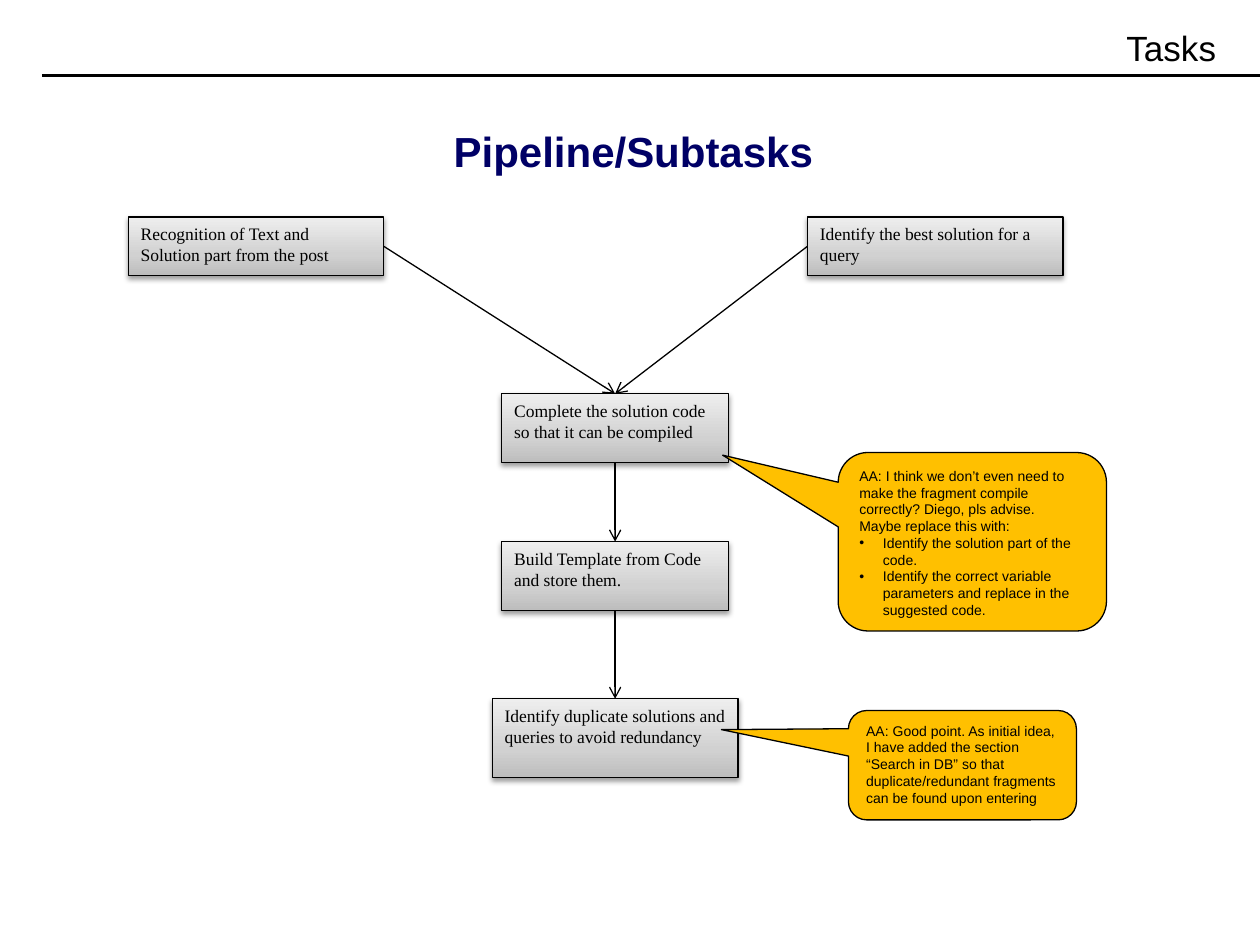
from copy import deepcopy

from lxml import etree
from pptx import Presentation
from pptx.dml.color import RGBColor
from pptx.enum.shapes import MSO_CONNECTOR, MSO_SHAPE
from pptx.enum.text import MSO_ANCHOR, PP_ALIGN
from pptx.oxml.ns import qn
from pptx.util import Pt

RECT = MSO_SHAPE.RECTANGLE
BUBBLE = MSO_SHAPE.ROUNDED_RECTANGULAR_CALLOUT
STRAIGHT = MSO_CONNECTOR.STRAIGHT
TOP, MIDDLE = MSO_ANCHOR.TOP, MSO_ANCHOR.MIDDLE
LEFT, CENTER, RIGHT = PP_ALIGN.LEFT, PP_ALIGN.CENTER, PP_ALIGN.RIGHT
NORTH, WEST, SOUTH, EAST = range(4)


def rgb(code):
    return RGBColor.from_string(code)


class Theme:
    black = rgb("000000")
    amber = rgb("FFC000")
    grays = [(0, rgb("BDBDBD")), (0.35, rgb("D1D1D1")), (1, rgb("EEEEEE"))]
    thin, thick = Pt(0.75), Pt(1.75)
    title = {"name": "Arial", "size": Pt(24), "bold": True}
    navy = rgb("000066")
    head = {"name": "Arial", "size": Pt(20)}
    step = {"name": "Times New Roman", "size": Pt(10)}
    note = {"name": "Arial", "size": Pt(8)}


def node(parent, tag, **attrs):
    return etree.SubElement(parent, qn(tag), attrs)


class Deck:
    def __init__(self, theme):
        self.theme = theme
        self.prs = Presentation()
        self.prs.slide_width, self.prs.slide_height = Pt(720), Pt(540)
        self.slide = self.prs.slides.add_slide(self.prs.slide_layouts[6])
        self.shapes = self.slide.shapes

    def label(self, shape, lines, style, color=None, align=LEFT, anchor=TOP):
        frame = shape.text_frame
        frame.word_wrap = True
        frame.vertical_anchor = anchor
        for i, line in enumerate(lines):
            para = frame.add_paragraph() if i else frame.paragraphs[0]
            para.alignment = align
            run = para.add_run()
            run.text = line.removeprefix("• ")
            for key, value in style.items():
                setattr(run.font, key, value)
            run.font.color.rgb = color or self.theme.black
            if line.startswith("• "):
                self.bullet(para)

    def bullet(self, para):
        props = para._p.get_or_add_pPr()
        props.set("marL", str(Pt(13.5)))
        props.set("indent", str(-Pt(13.5)))
        node(props, "a:buFont", typeface="Arial")
        node(props, "a:buChar", char="•")

    def text(self, box, line, style, **layout):
        shape = self.shapes.add_textbox(*map(Pt, box))
        self.label(shape, [line], style, **layout)

    def block(self, kind, box):
        shape = self.shapes.add_shape(kind, *map(Pt, box))
        shape.shadow.inherit = False
        shape.line.color.rgb = self.theme.black
        shape.line.width = self.theme.thin
        return shape

    def step(self, mid, top, width, height, line):
        shape = self.block(RECT, (mid - width / 2, top, width, height))
        shape.fill.gradient()
        shape.fill.gradient_angle = 90
        props = shape._element.spPr
        stops = props.find(".//" + qn("a:gsLst"))
        stops.append(deepcopy(stops[0]))
        for stop, (place, gray) in zip(shape.fill.gradient_stops, self.theme.grays):
            stop.position = place
            stop.color.rgb = gray
        shade = node(props.find(qn("a:effectLst")), "a:outerShdw",
                     blurRad=str(Pt(3.1)), dist=str(Pt(1.6)),
                     dir="5400000", rotWithShape="0")
        color = node(shade, "a:srgbClr", val=str(self.theme.black))
        node(color, "a:alpha", val="38000")
        self.label(shape, [line], self.theme.step)
        return shape

    def note(self, box, tip, lines):
        shape = self.block(BUBBLE, box)
        shape.fill.solid()
        shape.fill.fore_color.rgb = self.theme.amber
        for i, value in enumerate(tip):
            shape.adjustments[i] = value
        self.label(shape, lines, self.theme.note)

    def line(self, ends, width):
        link = self.shapes.add_connector(STRAIGHT, *map(Pt, ends))
        link.line.color.rgb = self.theme.black
        link.line.width = width
        node(link._element.spPr, "a:effectLst")
        return link

    def arrow(self, start, side, end):
        link = self.line((0, 0, 0, 0), self.theme.thin)
        link.begin_connect(start, side)
        link.end_connect(end, NORTH)
        node(link._element.spPr.find(qn("a:ln")), "a:tailEnd", type="arrow")


def main():
    theme = Theme()
    deck = Deck(theme)
    deck.line((24, 43, 720, 43), theme.thick)
    deck.text((23, 41, 678, 90), "Pipeline/Subtasks", theme.title,
              color=theme.navy, align=CENTER, anchor=MIDDLE)
    deck.text((24, 11.5, 678, 32), "Tasks", theme.head, align=RIGHT)

    mid = 351.5
    parts = deck.step(146.3, 124, 146, 33.5,
                      "Recognition of Text and Solution part from the post")
    best = deck.step(534.4, 124, 146, 33.5,
                     "Identify the best solution for a query")
    code = deck.step(mid, 225, 129.5, 39.5,
                     "Complete the solution code so that it can be compiled")
    build = deck.step(mid, 309.5, 129.5, 39.5,
                      "Build Template from Code and store them.")
    dupes = deck.step(mid, 399.3, 140.5, 45,
                      "Identify duplicate solutions and queries to avoid redundancy")

    for start, side, end in [(parts, EAST, code), (best, WEST, code),
                             (code, SOUTH, build), (build, SOUTH, dupes)]:
        deck.arrow(start, side, end)

    deck.note((479, 258.6, 153.3, 102), (-0.931, -0.485, 0.167), [
        "AA: I think we don’t even need to make the fragment compile correctly? "
        "Diego, pls advise.",
        "Maybe replace this with:",
        "• Identify the solution part of the code.",
        "• Identify the correct variable parameters and replace in the "
        "suggested code.",
    ])
    deck.note((484.8, 406, 130.3, 62.5), (-1.057, -0.325, 0.167), [
        "AA: Good point. As initial idea, I have added the section “Search in DB” "
        "so that duplicate/redundant fragments can be found upon entering",
    ])
    deck.prs.save("out.pptx")


if __name__ == "__main__":
    main()
